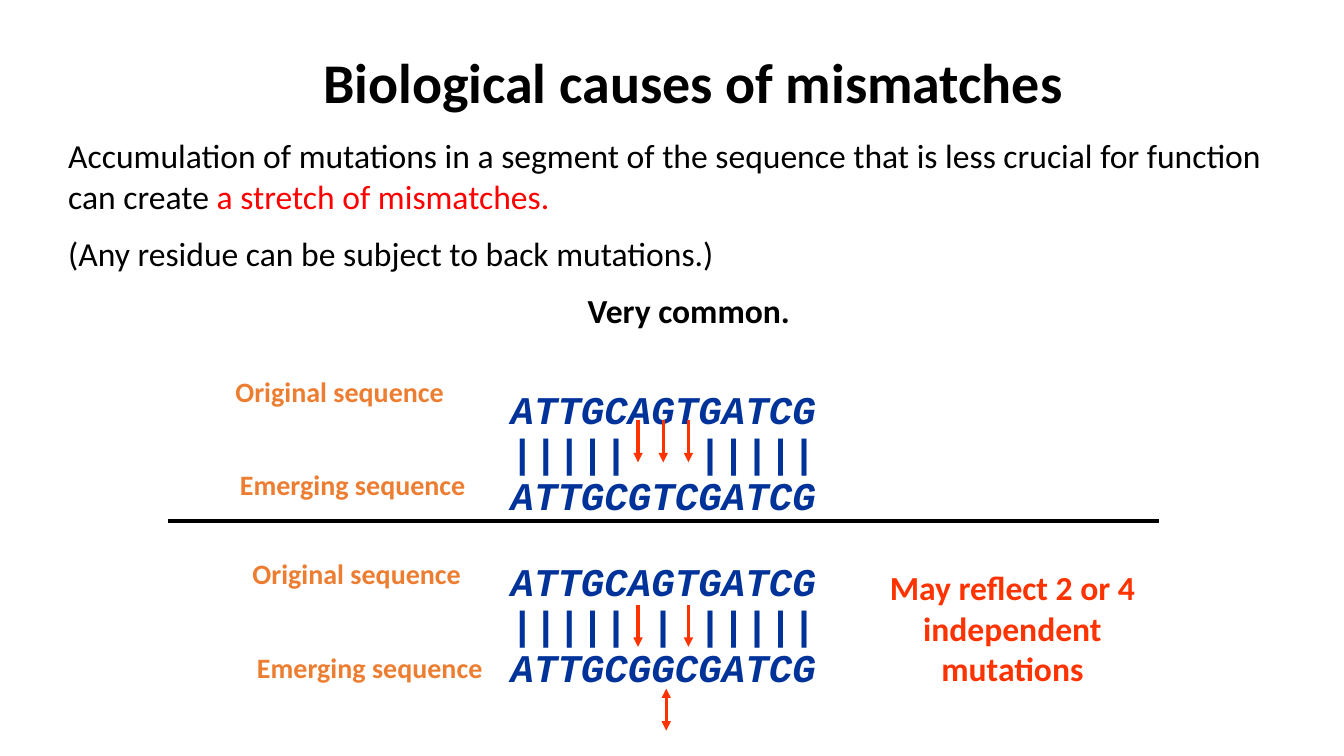
from dataclasses import dataclass

from lxml.etree import SubElement
from pptx import Presentation
from pptx.dml.color import RGBColor
from pptx.enum.shapes import MSO_CONNECTOR
from pptx.enum.text import MSO_ANCHOR, MSO_AUTO_SIZE, PP_ALIGN
from pptx.oxml.ns import qn
from pptx.shapes.autoshape import Shape
from pptx.slide import Slide
from pptx.util import Cm, Pt

COLOURS = {
    "text": "000000",
    "highlight": "FF0000",
    "sequence": "003399",
    "mutation": "FF3300",
    "label": "ED7D31",
}


@dataclass(frozen=True)
class TextStyle:
    size: float
    colour: str
    bold: bool = True
    italic: bool = False
    font: str = "Calibri"
    align: PP_ALIGN = PP_ALIGN.CENTER
    line_pitch: float | None = None
    gap: float = 0


@dataclass(frozen=True)
class Box:
    left: float
    top: float
    width: float
    height: float
    lines: tuple[str, ...]
    style: TextStyle


@dataclass(frozen=True)
class Line:
    start: tuple[float, float]
    end: tuple[float, float]
    colour: str = "mutation"
    width: float = 2.25
    arrowheads: tuple[str, ...] = ("tailEnd",)


TITLE = TextStyle(40, "text")
BODY = TextStyle(24, "text", bold=False, align=PP_ALIGN.LEFT, gap=12)
NOTE = TextStyle(24, "mutation")
LABEL = TextStyle(20, "label")
SEQUENCE = TextStyle(28, "sequence", italic=True, font="Courier New", line_pitch=30.7)

HEADING = Box(7.62, 1.07, 19.69, 1.96, ("Biological causes of mismatches",), TITLE)
EXPLANATION = Box(1.47, 3.28, 31.78, 5.38, (
    "Accumulation of mutations in a segment of the sequence that is less crucial for function can create ",
    "(Any residue can be subject to back mutations.)",
    "Very common.",
), BODY)

BOXES = (
    Box(5.92, 9.69, 21.59, 3.5,
        ("ATTGCAGTGATCG", "|||||   |||||", "ATTGCGTCGATCG"), SEQUENCE),
    Box(5.92, 14.02, 21.59, 3.5,
        ("ATTGCAGTGATCG", "||||| | |||||", "ATTGCGGCGATCG"), SEQUENCE),
    Box(22.02, 14.17, 6.99, 3.33, ("May reflect 2 or 4 independent mutations",), NOTE),
    Box(4.65, 9.32, 7.82, 1.09, ("Original sequence",), LABEL),
    Box(5.08, 11.66, 7.62, 1.09, ("Emerging sequence",), LABEL),
    Box(5.08, 13.89, 7.82, 1.09, ("Original sequence",), LABEL),
    Box(5.51, 16.26, 7.62, 1.09, ("Emerging sequence",), LABEL),
)

ARROW_LENGTH = 1.06
FIRST_MUTATION_X = 16.08
RESIDUE_STEP = 0.635
MUTATED_RESIDUES = {10.59: (0, 1, 2), 15.24: (0, 2)}
BACK_MUTATION = (16.79, 17.35)


def set_text(shape: Shape, box: Box) -> None:
    frame = shape.text_frame
    frame.word_wrap = True
    frame.auto_size = MSO_AUTO_SIZE.NONE
    frame.vertical_anchor = MSO_ANCHOR.TOP
    frame.text = "\n".join(box.lines)
    style = box.style
    for row, paragraph in enumerate(frame.paragraphs):
        paragraph.alignment = style.align
        paragraph.space_before = Pt(style.gap if row else 0)
        if style.line_pitch:
            paragraph.line_spacing = Pt(style.line_pitch)
        font = paragraph.font
        font.name = style.font
        font.size = Pt(style.size)
        font.bold = style.bold
        font.italic = style.italic
        font.color.rgb = RGBColor.from_string(COLOURS[style.colour])


def add_box(slide: Slide, box: Box) -> Shape:
    shape = slide.shapes.add_textbox(
        Cm(box.left), Cm(box.top), Cm(box.width), Cm(box.height))
    set_text(shape, box)
    return shape


def add_title(slide: Slide, box: Box) -> None:
    title = slide.shapes.title
    title.left, title.top = Cm(box.left), Cm(box.top)
    title.width, title.height = Cm(box.width), Cm(box.height)
    set_text(title, box)


def add_explanation(slide: Slide) -> None:
    accumulation, _, frequency = add_box(slide, EXPLANATION).text_frame.paragraphs
    highlight = accumulation.add_run()
    highlight.text = "a stretch of mismatches."
    highlight.font.color.rgb = RGBColor.from_string(COLOURS["highlight"])
    frequency.alignment = PP_ALIGN.CENTER
    frequency.font.bold = True


def add_line(slide: Slide, line: Line) -> None:
    connector = slide.shapes.add_connector(
        MSO_CONNECTOR.STRAIGHT, *map(Cm, line.start), *map(Cm, line.end))
    connector.line.width = Pt(line.width)
    connector.line.color.rgb = RGBColor.from_string(COLOURS[line.colour])
    outline = connector.line._get_or_add_ln()
    for arrowhead in line.arrowheads:
        SubElement(outline, qn(f"a:{arrowhead}"), type="triangle")
    SubElement(connector._element.spPr, qn("a:effectLst"))


def main() -> None:
    presentation = Presentation()
    presentation.slide_width, presentation.slide_height = Cm(33.87), Cm(19.05)
    slide = presentation.slides.add_slide(presentation.slide_layouts[5])
    add_title(slide, HEADING)
    add_explanation(slide)
    for box in BOXES:
        add_box(slide, box)
    add_line(slide, Line((4.24, 13.13), (29.21, 13.13), "text", 3, ()))
    for top, residues in MUTATED_RESIDUES.items():
        for residue in residues:
            x = FIRST_MUTATION_X + residue * RESIDUE_STEP
            add_line(slide, Line((x, top), (x, top + ARROW_LENGTH)))
    x, top = BACK_MUTATION
    add_line(slide, Line((x, top), (x, top + ARROW_LENGTH),
                         arrowheads=("headEnd", "tailEnd")))
    presentation.save("out.pptx")


if __name__ == "__main__":
    main()
